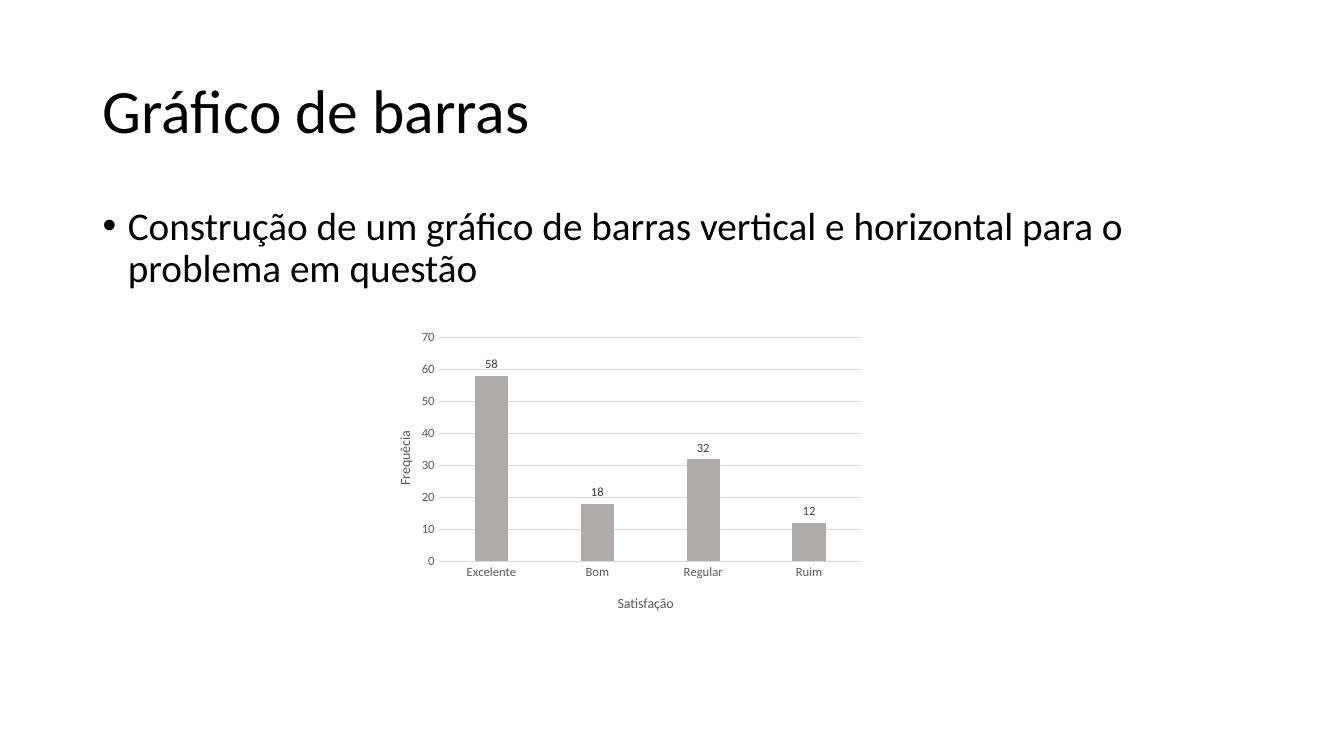
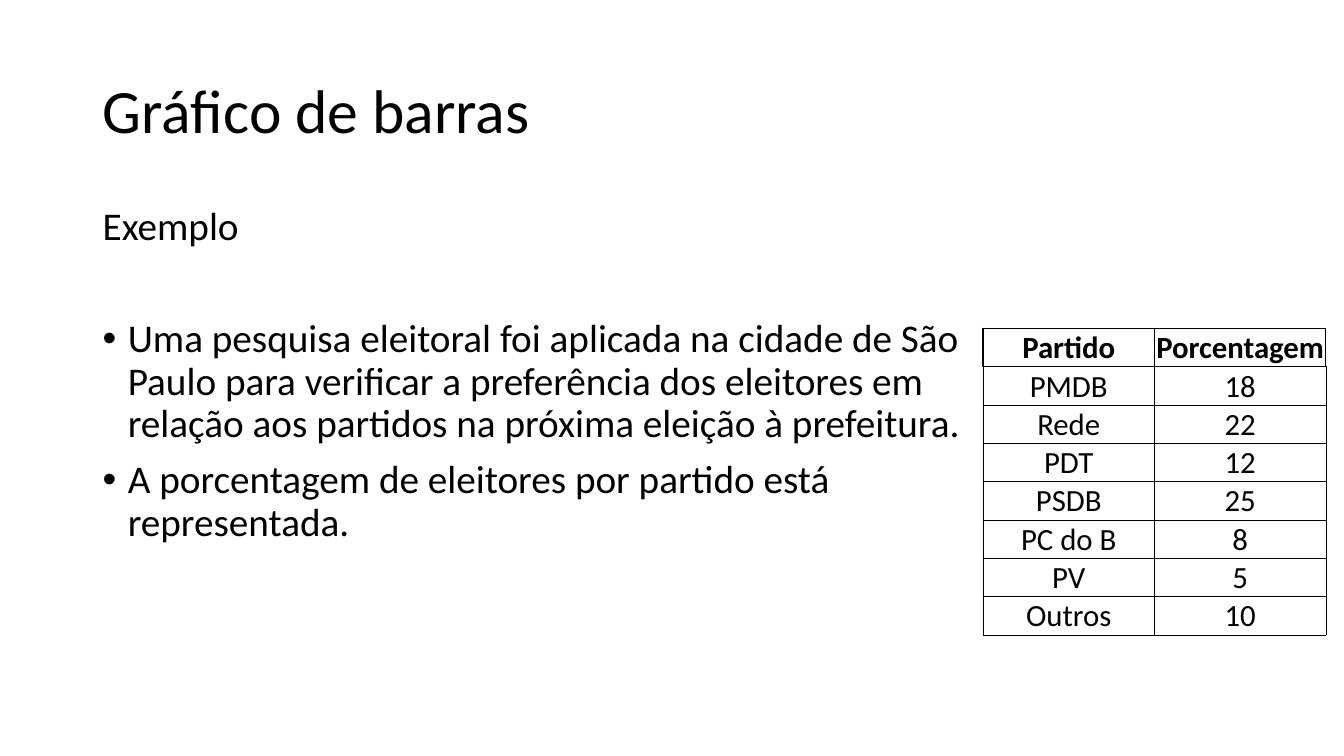
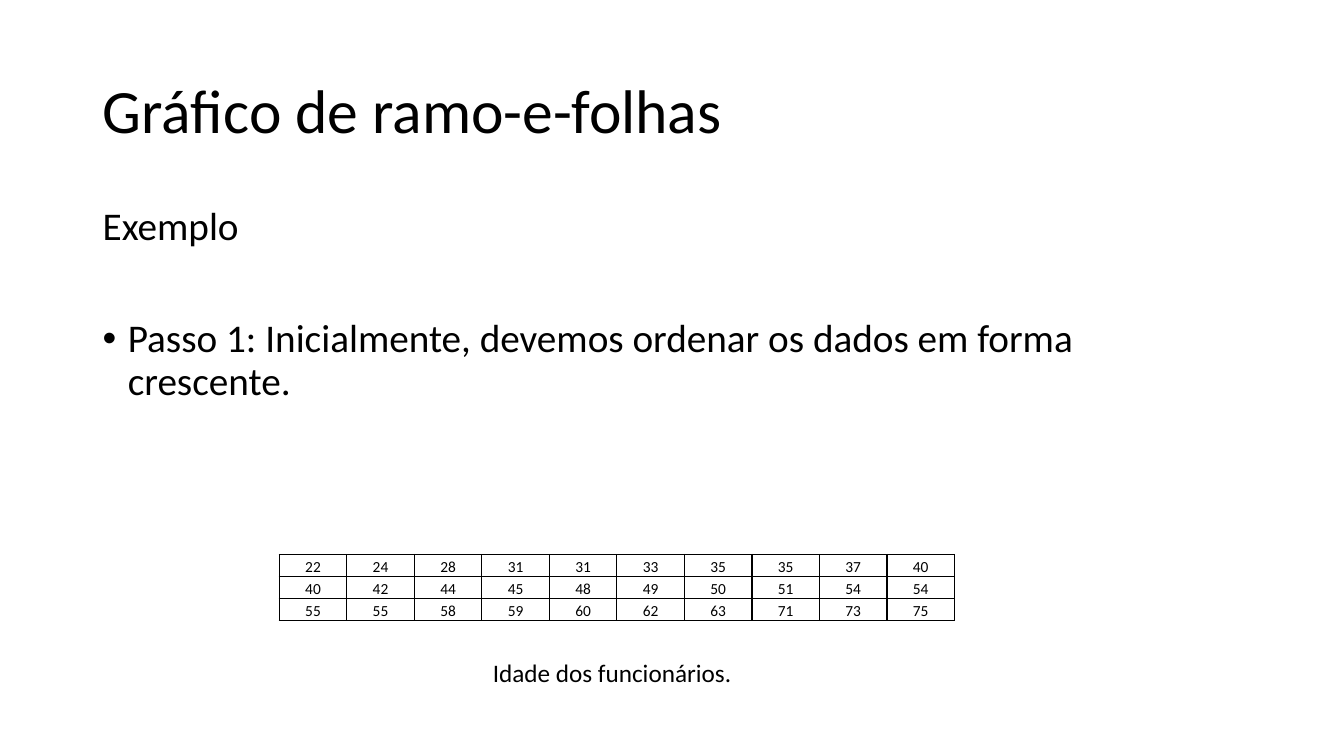
from pptx import Presentation
from pptx.chart.data import CategoryChartData
from pptx.dml.color import RGBColor
from pptx.enum.chart import XL_CHART_TYPE, XL_LABEL_POSITION, XL_TICK_MARK
from pptx.enum.text import MSO_ANCHOR, PP_ALIGN
from pptx.oxml import parse_xml
from pptx.oxml.ns import nsdecls, qn
from pptx.util import Inches, Pt

COLUMN = XL_CHART_TYPE.COLUMN_CLUSTERED
OUTSIDE = XL_LABEL_POSITION.OUTSIDE_END
NO_TICK = XL_TICK_MARK.NONE
TOP, MIDDLE, BOTTOM = MSO_ANCHOR.TOP, MSO_ANCHOR.MIDDLE, MSO_ANCHOR.BOTTOM
LEFT, CENTER = PP_ALIGN.LEFT, PP_ALIGN.CENTER

FONT = "Calibri"
BLACK, GRAY, DARK, RULE, BAR = "000000", "595959", "404040", "D9D9D9", "AFABAB"
EXAMPLE_GAP = 50


def rgb(color):
    return RGBColor.from_string(color)


def style_font(font, size, color=BLACK, bold=False):
    font.name, font.size, font.bold = FONT, Pt(size), bold
    font.color.rgb = rgb(color)


def write(p, text, size=28, color=BLACK, bold=False, align=LEFT,
          spacing=None, before=0, bullet=False):
    if bullet:
        pPr = p._p.get_or_add_pPr()
        pPr.set("marL", str(Inches(0.25)))
        pPr.set("indent", str(-Inches(0.25)))
        pPr.append(parse_xml(f'<a:buFont {nsdecls("a")} typeface="Arial"/>'))
        pPr.append(parse_xml(f'<a:buChar {nsdecls("a")} char="•"/>'))
    p.alignment = align
    p.space_before = Pt(before)
    if spacing:
        p.line_spacing = spacing
    r = p.add_run()
    r.text = text
    style_font(r.font, size, color, bold)


def set_borders(cell, width, top):
    tcPr = cell._tc.get_or_add_tcPr()
    for side, points in zip("LRTB", (width, width, top, width)):
        tcPr.append(parse_xml(
            f'<a:ln{side} {nsdecls("a")} w="{Pt(points)}"><a:solidFill>'
            f'<a:srgbClr val="{BLACK}"/></a:solidFill></a:ln{side}>'))


def set_layout(element, index, **fractions):
    """Place a chart part by fractions of the chart's width and height."""
    for old in element.findall(qn("c:layout")):
        element.remove(old)
    modes = '<c:xMode val="edge"/><c:yMode val="edge"/>'
    target = '<c:layoutTarget val="inner"/>' if "w" in fractions else ""
    values = "".join(f'<c:{k} val="{v}"/>' for k, v in fractions.items())
    element.insert(index, parse_xml(
        f'<c:layout {nsdecls("c")}><c:manualLayout>{target}{modes}{values}'
        f'</c:manualLayout></c:layout>'))


def style_axis(axis, title, x, y):
    axis.major_tick_mark = axis.minor_tick_mark = NO_TICK
    style_font(axis.tick_labels.font, 9, GRAY)
    tf = axis.axis_title.text_frame
    write(tf.paragraphs[0], title, size=10, color=GRAY, align=CENTER)
    set_layout(axis.axis_title._element, 1, x=x, y=y)
    return tf


class Deck:
    def __init__(self):
        self.prs = Presentation()
        self.prs.slide_width, self.prs.slide_height = Inches(13.33), Inches(7.5)

    def slide(self, title):
        self.s = self.prs.slides.add_slide(self.prs.slide_layouts[6])
        tf = self.box(0.92, 0.4, 11.5, 1.45, MIDDLE)
        write(tf.paragraphs[0], title, size=44, spacing=0.9)

    def box(self, x, y, w, h, anchor=TOP):
        sp = self.s.shapes.add_textbox(Inches(x), Inches(y), Inches(w), Inches(h))
        tf = sp.text_frame
        tf.word_wrap = True
        tf.vertical_anchor = anchor
        return tf

    def body(self, bullets, heading=None, width=11.5):
        tf = self.box(0.92, 2, width, 4.76)
        p = tf.paragraphs[0]
        before = 0
        if heading:
            write(p, heading, spacing=0.9)
            p, before = tf.add_paragraph(), EXAMPLE_GAP
        for i, text in enumerate(bullets):
            if i:
                p, before = tf.add_paragraph(), 10
            write(p, text, spacing=0.9, before=before, bullet=True)

    def caption(self, text, x, y, w, h):
        write(self.box(x, y, w, h).paragraphs[0], text, size=18)

    def table(self, rows, x, y, col_width, row_height, size, border, header=False):
        n_rows, n_cols = len(rows), len(rows[0])
        table = self.s.shapes.add_table(
            n_rows, n_cols, Inches(x), Inches(y),
            Inches(col_width * n_cols), Inches(row_height * n_rows)).table
        table.first_row = table.horz_banding = False
        for i, row in enumerate(rows):
            is_header = header and i == 0
            width = 1 if is_header else border
            top = 1 if header and i <= 1 else border
            for j, value in enumerate(row):
                cell = table.cell(i, j)
                cell.margin_left = cell.margin_right = cell.margin_top = Inches(0.01)
                cell.margin_bottom = 0
                cell.vertical_anchor = BOTTOM
                set_borders(cell, width, top)
                cell.fill.background()
                write(cell.text_frame.paragraphs[0], str(value), size=size,
                      bold=is_header, align=CENTER)

    def bar_chart(self, data, x, y, w, h):
        chart_data = CategoryChartData()
        chart_data.categories = list(data)
        chart_data.add_series("Series 1", list(data.values()))
        chart = self.s.shapes.add_chart(COLUMN, Inches(x), Inches(y), Inches(w),
                                        Inches(h), chart_data).chart
        chart.has_legend = chart.has_title = False
        style_font(chart.font, 10)

        category, value = chart.category_axis, chart.value_axis
        style_axis(category, "Satisfação", 0.49, 0.88)
        category.format.line.color.rgb = rgb(RULE)
        category.format.line.width = Pt(0.75)
        tf = style_axis(value, "Frequêcia", 0.05, 0.34)
        tf._element.find(qn("a:bodyPr")).set("rot", "-5400000")
        value.minimum_scale, value.maximum_scale, value.major_unit = 0, 70, 10
        value.format.line.fill.background()
        value.major_gridlines.format.line.color.rgb = rgb(RULE)
        value.major_gridlines.format.line.width = Pt(0.75)

        plot = chart.plots[0]
        plot.gap_width, plot.overlap, plot.vary_by_categories = 219, -27, False
        fill = plot.series[0].format.fill
        fill.solid()
        fill.fore_color.rgb = rgb(BAR)
        plot.has_data_labels = True
        labels = plot.data_labels
        labels.show_value, labels.position = True, OUTSIDE
        style_font(labels.font, 9, DARK)
        plot_area = chart._chartSpace.find(".//" + qn("c:plotArea"))
        set_layout(plot_area, 0, x=0.14, y=0.04, w=0.84, h=0.74)


def main():
    deck = Deck()

    deck.slide("Gráfico de barras")
    deck.body(["Construção de um gráfico de barras vertical e horizontal "
               "para o problema em questão"])
    deck.bar_chart({"Excelente": 58, "Bom": 18, "Regular": 32, "Ruim": 12},
                   3.65, 3.23, 5, 3)

    deck.slide("Gráfico de barras")
    deck.body(["Uma pesquisa eleitoral foi aplicada na cidade de São Paulo para "
               "verificar a preferência dos eleitores em relação aos partidos na "
               "próxima eleição à prefeitura.",
               "A porcentagem de eleitores por partido está representada."],
              heading="Exemplo", width=8.96)
    parties = [("Partido", "Porcentagem"), ("PMDB", 18), ("Rede", 22), ("PDT", 12),
               ("PSDB", 25), ("PC do B", 8), ("PV", 5), ("Outros", 10)]
    deck.table(parties, 9.75, 3.26, 1.7, 0.38, size=22, border=0.5, header=True)

    deck.slide("Gráfico de ramo-e-folhas")
    deck.body(["Passo 1: Inicialmente, devemos ordenar os dados em forma crescente."],
              heading="Exemplo")
    deck.caption("Idade dos funcionários.", 4.79, 6.47, 6.67, 0.4)
    ages = [[22, 24, 28, 31, 31, 33, 35, 35, 37, 40],
            [40, 42, 44, 45, 48, 49, 50, 51, 54, 54],
            [55, 55, 58, 59, 60, 62, 63, 71, 73, 75]]
    deck.table(ages, 2.77, 5.5, 0.67, 0.22, size=11, border=1)

    deck.prs.save("out.pptx")


if __name__ == "__main__":
    main()
